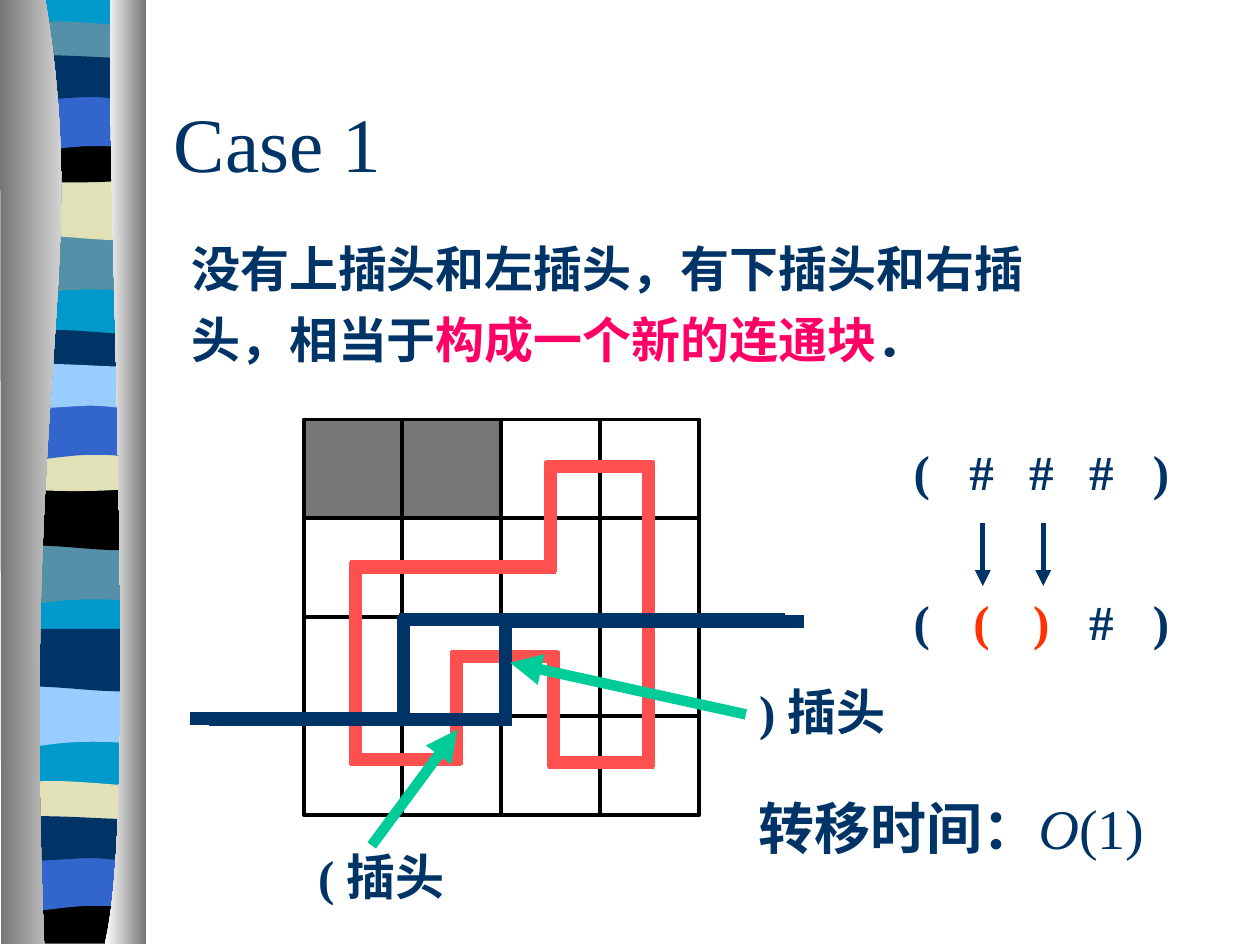
import math

import pptx
import pptx.util
import pptx.dml.color
import pptx.enum.shapes
import pptx.enum.text
import pptx.oxml.ns
import lxml.etree

Inches = pptx.util.Inches
qn = pptx.oxml.ns.qn
ALIGN = pptx.enum.text.PP_ALIGN
ANCHOR = pptx.enum.text.MSO_ANCHOR

NAVY, ROSE, RED, CORAL, GREEN = "003366", "FF0066", "FF3300", "FF5050", "00CC99"
TEAL, CYAN, BLUE, SKY = "5490A8", "0099CC", "3366CC", "99CCFF"
SAND, BLACK, GREY, WHITE = "E1E1B7", "000000", "767676", "FFFFFF"
TIMES, NOTO = "Times New Roman", "Noto Sans CJK SC"

# Band outlines, from the top right corner: a step of one point is a line, of three a curve
L, R = 0.05, 1.14
WAVE = [[(R, 0)], [(R, 0.47)], [(0.39, 0.39), (0.23, 0.55), (L, 0.47)], [(L, 0)]]
ROLL = [[(R, 0)], [(R, 0.47)], [(0.96, 0.55), (0.39, 0.42), (L, 0.47)], [(L, 0)]]
THIN = [[(R, 0.04)], [(R, 0.29)], [(0.96, 0.33), (0.23, 0.33), (L, 0.29)], [(L, 0.04)],
        [(0.12, 0), (0.29, 0), (0.47, 0)], [(0.65, 0), (1, 0.04), (R, 0.04)]]
SWELL = [[(R, 0)], [(R, 0.33)], [(0.96, 0.38), (0.24, 0.38), (L, 0.33)], [(L, 0)],
         [(0.72, 0.05), (0.92, 0), (R, 0)]]
FOOT = [[(R, 0)], [(R, 0.37)], [(L, 0.37)], [(L, 0)], [(0.71, 0.05), (0.9, 0), (R, 0)]]
ARCH = [[(R, 0)], [(R, 0.47)], [(0.97, 0.41), (0.9, 0.41), (0.72, 0.41)],
        [(0.54, 0.41), (0.22, 0.47), (L, 0.47)], [(L, 0)]]
STRIP = [[(R, 0.05)], [(R, 0.36)], [(1.07, 0.41), (0.9, 0.36), (0.72, 0.36)],
         [(0.54, 0.36), (0.17, 0.41), (L, 0.36)], [(L, 0.05)],
         [(0.21, 0), (0.79, 0.05), (0.97, 0.05)], [(R, 0.05)]]
BACK = [[(R, 0)], [(R, 7.47)], [(L, 7.47)], [(L, 0)]]
BANDS = [
    (BACK, CYAN, 0),
    (WAVE, TEAL, 1.85), (ROLL, SAND, 1.41), (THIN, TEAL, 0.17),
    (SWELL, BLACK, 1.08), (ARCH, BLUE, 0.75), (STRIP, NAVY, 0.41),
    (WAVE, TEAL, 4.31), (ROLL, BLACK, 3.87), (THIN, NAVY, 2.62),
    (SWELL, SAND, 3.53), (ARCH, BLUE, 3.2), (STRIP, SKY, 2.86),
    (WAVE, SKY, 5.44), (ROLL, NAVY, 4.99), (THIN, SAND, 6.2),
    (FOOT, BLACK, 7.12), (ARCH, BLUE, 6.78), (STRIP, NAVY, 6.45),
]
LOOP = [(2.82, 4.5), (4.37, 4.5), (4.37, 3.7), (5.15, 3.7), (5.15, 6.05),
        (4.39, 6.05), (4.39, 5.21), (3.62, 5.21), (3.62, 6.03), (2.82, 6.03)]
FRONT = [((1.51, 5.7), (3.21, 5.7)), ((3.17, 4.92), (6.23, 4.92)),
         ((3.2, 4.89), (3.2, 5.72)), ((1.66, 5.71), (4.06, 5.71)),
         ((3.99, 4.93), (6.38, 4.93)), ((4.01, 4.9), (4.01, 5.73))]


def paint(hue):
    return pptx.dml.color.RGBColor.from_string(hue)


def add_form(slide, steps, top=0):
    """Closed outline; each step of three points becomes a Bezier curve."""
    spots = [(Inches(x), Inches(y + top)) for step in steps for x, y in step]
    maker = slide.shapes.build_freeform(*spots[0], scale=1.0)
    maker.add_line_segments(spots[1:], close=True)
    form = maker.convert_to_shape()
    form.shadow.inherit = False
    form.line.fill.background()
    lines = iter(form.element.findall(".//" + qn("a:lnTo")))
    for step in steps[1:]:
        parts = [next(lines) for _ in step]
        if len(step) == 3:
            bend = lxml.etree.Element(qn("a:cubicBezTo"))
            parts[0].addprevious(bend)
            for part in parts:
                bend.append(part[0])
                part.getparent().remove(part)
    return form


def add_rail(slide, steps, hues):
    fill = add_form(slide, steps).fill
    fill.gradient()
    fill.gradient_angle = 0
    for stop, hue in zip(fill.gradient_stops, hues):
        stop.color.rgb = paint(hue)


def add_side(slide):
    for steps, hue, top in BANDS:
        form = add_form(slide, steps, top)
        form.fill.solid()
        form.fill.fore_color.rgb = paint(hue)
    add_rail(slide, [[(0.36, 0)], [(0.72, 2.17), (0.17, 2.96), (0.35, 7.49)],
                     [(0.01, 7.49)], [(0, 0)]], (GREY, WHITE))
    add_rail(slide, [[(0.88, 0)], [(0.83, 1.25), (1.11, 6.47), (0.83, 7.49)],
                     [(1.16, 7.49)], [(1.16, 0)]], (WHITE, GREY))


def add_box(slide, x, y, size, hue, width, fill=None):
    box = slide.shapes.add_shape(pptx.enum.shapes.MSO_SHAPE.RECTANGLE,
                                 Inches(x), Inches(y), Inches(size), Inches(size))
    box.shadow.inherit = False
    box.line.color.rgb = paint(hue)
    box.line.width = pptx.util.Pt(width)
    if fill:
        box.fill.solid()
        box.fill.fore_color.rgb = paint(fill)
    else:
        box.fill.background()


def add_line(slide, start, end, hue, width, arrow=False):
    line = slide.shapes.add_connector(pptx.enum.shapes.MSO_CONNECTOR.STRAIGHT,
                                      *map(Inches, start + end))
    line.line.color.rgb = paint(hue)
    line.line.width = pptx.util.Pt(width)
    props = line.element.spPr
    if arrow:
        lxml.etree.SubElement(props.find(qn("a:ln")), qn("a:tailEnd"), type="triangle")
    lxml.etree.SubElement(props, qn("a:effectLst"))


def style(run, size, hue=NAVY, face=TIMES, bold=True, slant=False):
    font = run.font
    font.size, font.name = pptx.util.Pt(size), face
    font.bold, font.italic = bold, slant
    font.color.rgb = paint(hue)
    asian = lxml.etree.Element(qn("a:ea"), typeface=NOTO)
    font._element.find(qn("a:latin")).addnext(asian)


def add_text(slide, x, y, w, h, parts, size, wrap=True):
    """Text box with one paragraph; parts are (text, format) pairs."""
    frame = slide.shapes.add_textbox(*map(Inches, (x, y, w, h))).text_frame
    frame.word_wrap = wrap
    para = frame.paragraphs[0]
    for text, look in parts:
        run = para.add_run()
        run.text = text
        style(run, size, **look)
    return frame


def add_row(slide, y, signs, hues):
    for i, (sign, hue) in enumerate(zip(signs, hues)):
        frame = add_text(slide, 7.08 + 0.475 * i, y, 0.47, 0.47,
                         [(sign, {"hue": hue})], 28, wrap=False)
        frame.vertical_anchor = ANCHOR.MIDDLE
        frame.paragraphs[0].alignment = ALIGN.CENTER


def add_title(slide, text):
    title = slide.shapes.title
    title.left, title.top, title.width, title.height = map(Inches, (1.28, 0.5, 8.5, 1.25))
    title.text_frame.text = text
    title.text_frame.vertical_anchor = ANCHOR.MIDDLE
    para = title.text_frame.paragraphs[0]
    para.alignment = ALIGN.LEFT
    style(para.runs[0], 44, bold=False)


def add_grid(slide):
    cell = 0.785
    add_box(slide, 3.2, 4.92, 0.77, "0000CC", 0.75)
    for i in range(16):
        row, col = divmod(i, 4)
        add_box(slide, 2.41 + cell * col, 3.33 + cell * row, cell, BLACK, 2.25,
                "777777" if i < 2 else None)


def add_loop(slide, points, over=0.04):
    """Closed path whose sides run a little past each corner."""
    for (x, y), (u, v) in zip(points, points[1:] + points[:1]):
        side = math.hypot(u - x, v - y)
        dx, dy = over * (u - x) / side, over * (v - y) / side
        add_line(slide, (x - dx, y - dy), (u + dx, v + dy), CORAL, 7.5)


def main():
    deck = pptx.Presentation()
    deck.slide_width, deck.slide_height = Inches(10), Inches(7.5)
    slide = deck.slides.add_slide(deck.slide_layouts[5])

    # Ribbon, title and statement
    add_side(slide)
    add_title(slide, "Case 1")
    frame = add_text(slide, 1.42, 1.75, 7.5, 1.22, [
        ("没有上插头和左插头，有下插头和右插头，相当于", {"face": NOTO}),
        ("构成一个新的连通块", {"face": NOTO, "hue": ROSE}),
        ("．", {"face": NOTO})], 28)
    frame.margin_right = Inches(0.6)
    frame.paragraphs[0].line_spacing = 1.2
    frame.paragraphs[0].space_before = pptx.util.Pt(17.5)

    # Grid with the loop and the front line
    add_grid(slide)
    add_loop(slide, LOOP)
    for start, end in FRONT:
        add_line(slide, start, end, NAVY, 7.5)

    # Labelled plugs
    for start, end, x, y, text in (((5.92, 5.67), (4.05, 5.26), 5.83, 5.36, " ) 插头"),
                                   ((2.95, 6.71), (3.63, 5.79), 2.33, 6.67, " ( 插头")):
        add_line(slide, start, end, GREEN, 6, arrow=True)
        add_text(slide, x, y, 1.58, 0.57, [(text, {})], 28)

    # Change of state
    add_row(slide, 3.5, "(###)", [NAVY] * 5)
    for x in (7.8, 8.28):
        add_line(slide, (x, 4.15), (x, 4.65), NAVY, 3, arrow=True)
    add_row(slide, 4.69, "(()#)", [NAVY, RED, RED, NAVY, NAVY])

    # Cost
    add_text(slide, 5.92, 6.25, 3.75, 0.64, [
        ("转移时间：", {"face": NOTO}),
        ("O", {"bold": False, "slant": True}),
        ("(1)", {"bold": False})], 32)
    deck.save("out.pptx")


if __name__ == "__main__":
    main()
